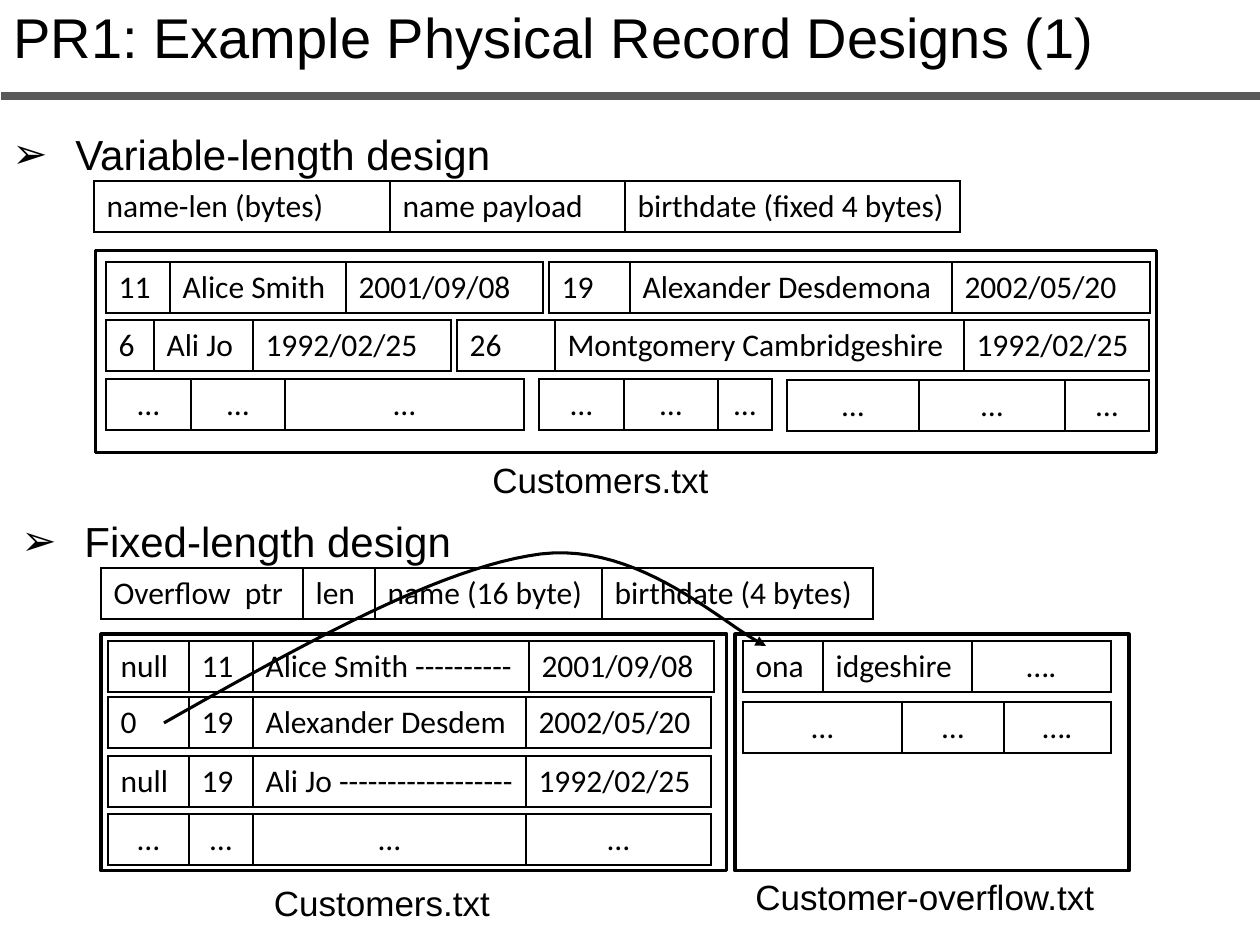
from dataclasses import dataclass

from lxml.etree import SubElement
from pptx import Presentation
from pptx.dml.color import RGBColor
from pptx.enum.shapes import MSO_CONNECTOR, MSO_SHAPE
from pptx.enum.text import MSO_AUTO_SIZE, PP_ALIGN
from pptx.oxml.ns import qn
from pptx.util import Emu, Pt

PX = 914400 / 126  # EMU per pixel


@dataclass(frozen=True)
class Theme:
    ink: RGBColor = RGBColor(0x00, 0x00, 0x00)
    rule: RGBColor = RGBColor(0x59, 0x59, 0x59)
    head_font: str = "Arial"
    cell_font: str = "Calibri"
    title: int = 32
    heading: int = 24
    caption: int = 20
    cell: int = 18
    rule_width: float = 4.5
    frame_width: float = 1.75
    border_width: float = 1


def emu(px):
    return Emu(round(px * PX))


def bezier(p0, p1, p2, p3, steps=24):
    """Points along a cubic curve, without its first point."""
    for i in range(1, steps + 1):
        t = i / steps
        u = 1 - t
        weights = (u ** 3, 3 * u * u * t, 3 * u * t * t, t ** 3)
        yield tuple(sum(w * p[axis] for w, p in zip(weights, (p0, p1, p2, p3)))
                    for axis in (0, 1))


class Deck:
    def __init__(self, theme, width, height):
        self.theme = theme
        self.prs = Presentation()
        self.prs.slide_width, self.prs.slide_height = emu(width), emu(height)
        self.s = self.prs.slides.add_slide(self.prs.slide_layouts[6])

    def style(self, p, size, font):
        for r in p.runs:
            r.font.size = Pt(size)
            r.font.name = font
            r.font.color.rgb = self.theme.ink

    def text(self, x, y, w, h, text, size, align=PP_ALIGN.LEFT):
        tf = self.s.shapes.add_textbox(emu(x), emu(y), emu(w), emu(h)).text_frame
        tf.word_wrap = True
        tf.auto_size = MSO_AUTO_SIZE.SHAPE_TO_FIT_TEXT
        tf.text = text
        p = tf.paragraphs[0]
        p.alignment = align
        self.style(p, size, self.theme.head_font)
        return p

    def heading(self, x, y, w, text):
        p = self.text(x, y, w, 79, text, self.theme.heading)
        p.line_spacing = 1.5
        pPr = p._p.get_or_add_pPr()
        pPr.set("marL", str(emu(63)))
        pPr.set("indent", str(-emu(63)))
        SubElement(pPr, qn("a:buFont"), typeface=self.theme.head_font)
        SubElement(pPr, qn("a:buChar"), char="➢")

    def record(self, x, y, widths, values, h=51):
        """One stored record: a single-row table with a cell per field."""
        table = self.s.shapes.add_table(
            1, len(widths), emu(x), emu(y), emu(sum(widths)), emu(h)).table
        table.first_row = table.horz_banding = False
        table.rows[0].height = emu(h)
        for column, width, cell, value in zip(
                table.columns, widths, table.rows[0].cells, values):
            column.width = emu(width)
            cell.text_frame.text = value
            p = cell.text_frame.paragraphs[0]
            if value.startswith("…"):
                p.alignment = PP_ALIGN.CENTER
            self.style(p, self.theme.cell, self.theme.cell_font)
            self.borders(cell)
            cell.fill.background()

    def borders(self, cell):
        tcPr = cell._tc.get_or_add_tcPr()
        for side in ("lnL", "lnR", "lnT", "lnB"):
            ln = SubElement(tcPr, qn(f"a:{side}"), w=str(Pt(self.theme.border_width)))
            fill = SubElement(ln, qn("a:solidFill"))
            SubElement(fill, qn("a:srgbClr"), val=str(self.theme.ink))

    def outline(self, shape):
        shape.shadow.inherit = False
        shape.fill.background()
        shape.line.color.rgb = self.theme.ink
        shape.line.width = Pt(self.theme.frame_width)

    def frame(self, x, y, w, h):
        self.outline(self.s.shapes.add_shape(
            MSO_SHAPE.RECTANGLE, emu(x), emu(y), emu(w), emu(h)))

    def rule(self, x1, x2, y):
        line = self.s.shapes.add_connector(
            MSO_CONNECTOR.STRAIGHT, emu(x1), emu(y), emu(x2), emu(y))
        line.line.color.rgb = self.theme.rule
        line.line.width = Pt(self.theme.rule_width)
        SubElement(line._element.spPr, qn("a:effectLst"))

    def curved_arrow(self, start, *segments):
        points, at = [], start
        for segment in segments:
            points += bezier(at, *segment)
            at = segment[-1]
        builder = self.s.shapes.build_freeform(emu(start[0]), emu(start[1]))
        builder.add_line_segments([(emu(x), emu(y)) for x, y in points], close=False)
        shape = builder.convert_to_shape()
        self.outline(shape)
        SubElement(shape.line._get_or_add_ln(), qn("a:tailEnd"), type="triangle")


def main():
    theme = Theme()
    deck = Deck(theme, 1260, 945)

    # Title
    deck.text(1, -4, 1259, 81, "PR1: Example Physical Record Designs (1)", theme.title)
    deck.rule(1, 1260, 96)

    # Variable-length design: schema, then the file's records
    deck.heading(0, 97, 1260, "Variable-length design")
    dots = ("…",) * 3
    for x, y, widths, values in (
        (94, 181, (296, 235, 335),
         ("name-len (bytes)", "name payload", "birthdate (fixed 4 bytes)")),
        (106, 262, (64, 176, 197), ("11", "Alice Smith", "2001/09/08")),
        (549, 262, (81, 322, 198), ("19", "Alexander Desdemona", "2002/05/20")),
        (106, 320, (48, 99, 198), ("6", "Ali Jo", "1992/02/25")),
        (457, 320, (98, 409, 185), ("26", "Montgomery Cambridgeshire", "1992/02/25")),
        (106, 379, (85, 94, 239), dots),
        (539, 379, (85, 94, 54), dots),
        (787, 380, (132, 146, 84), dots),
    ):
        deck.record(x, y, widths, values)
    deck.frame(96, 251, 1061, 202)
    deck.text(480, 452, 252, 55, "Customers.txt", theme.caption)

    # Fixed-length design: schema and main file
    deck.heading(9, 484, 1216, "Fixed-length design")
    deck.record(101, 568, (202, 72, 227, 271),
                ("Overflow  ptr", "len", "name (16 byte)", "birthdate (4 bytes)"))
    deck.frame(101, 634, 626, 237)
    for y, name_width, values in (
        (641, 276, ("null", "11", "Alice Smith ----------", "2001/09/08")),
        (697, 273, ("0", "19", "Alexander Desdem", "2002/05/20")),
        (756, 273, ("null", "19", "Ali Jo ------------------", "1992/02/25")),
        (814, 273, ("…",) * 4),
    ):
        deck.record(108, y, (81, 64, name_width, 185), values)
    deck.text(229, 875, 306, 55, "Customers.txt", theme.caption, PP_ALIGN.CENTER)

    # Overflow file and the pointer into it
    deck.frame(735, 634, 394, 237)
    deck.record(743, 641, (80, 149, 139), ("ona", "idgeshire", "…."))
    deck.record(743, 702, (159, 102, 107), ("…", "…", "…."))
    deck.text(743, 869, 386, 55, "Customer-overflow.txt", theme.caption)
    deck.curved_arrow((164, 723),
                      ((302, 645), (440, 567), (541, 554)),
                      ((641, 542), (725, 627), (766, 646)))

    deck.prs.save("out.pptx")


if __name__ == "__main__":
    main()
